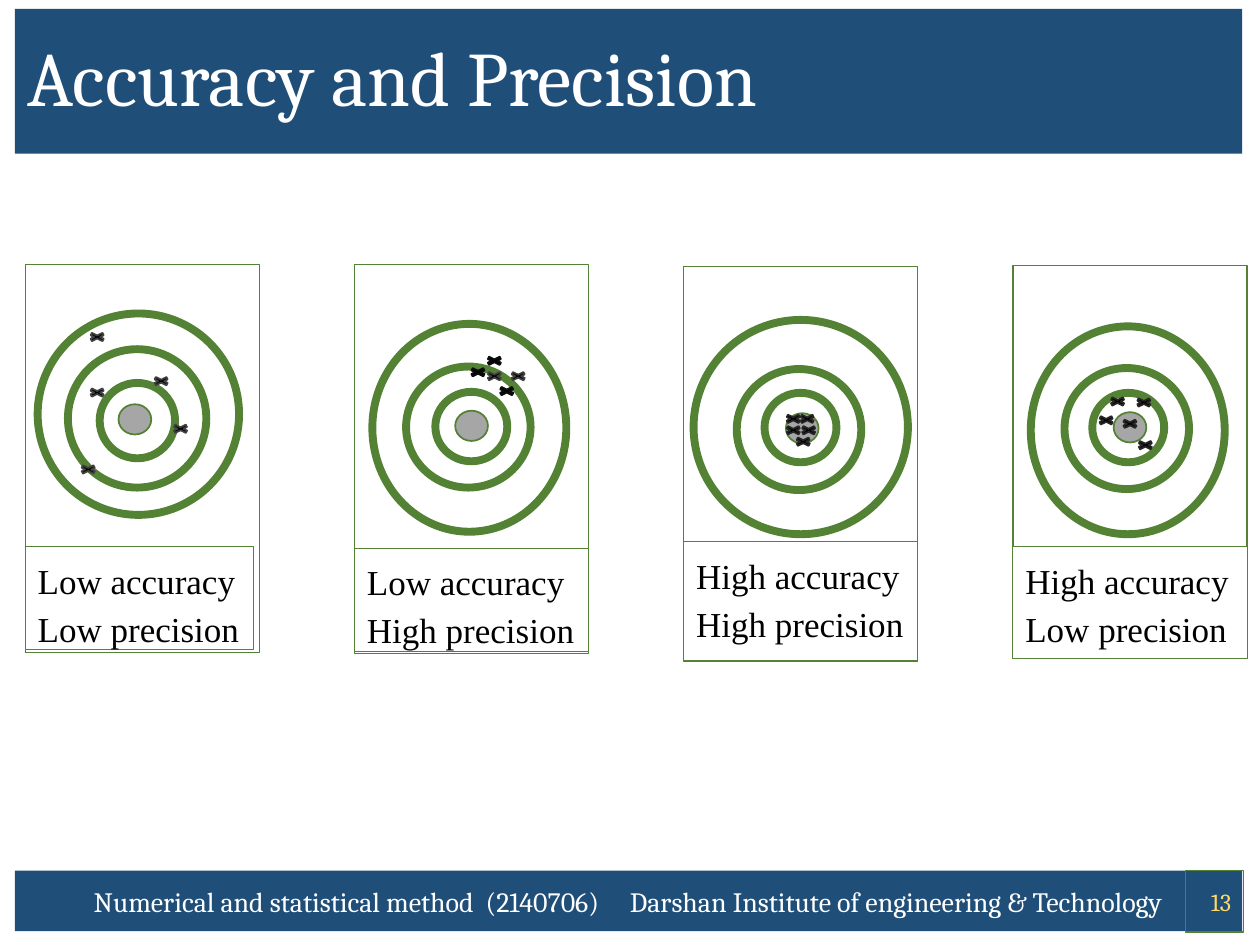
import lxml.etree
import pptx
import pptx.dml.color
import pptx.enum.shapes
import pptx.enum.text
import pptx.oxml.ns
import pptx.util

Cm = pptx.util.Cm
Pt = pptx.util.Pt
SHAPE = pptx.enum.shapes.MSO_SHAPE
ALIGN = pptx.enum.text.PP_ALIGN
ANCHOR = pptx.enum.text.MSO_ANCHOR

COLORS = {
    "navy": "1F4E79", "green": "548235", "white": "FFFFFF", "black": "000000",
    "gold": "FFD966", "bullseye": "A6A6A6",
    "dark": "0D0D0D", "charcoal": "262626", "gray": "404040",
}


def rgb(name):
    return pptx.dml.color.RGBColor.from_string(COLORS[name])


def write_text(box, text, size, color="black", font="Cambria", align=ALIGN.LEFT,
               anchor=ANCHOR.MIDDLE, spacing=1.0, after=0, left=0.25, tabs=()):
    frame = box.text_frame
    frame.word_wrap = True
    frame.auto_size = pptx.enum.text.MSO_AUTO_SIZE.NONE
    frame.vertical_anchor = anchor
    frame.margin_left = Cm(left)
    para = frame.paragraphs[0]
    para.alignment = align
    para.line_spacing = spacing
    para.space_before = Pt(0)
    para.space_after = Pt(after)
    if tabs:
        qn = pptx.oxml.ns.qn
        stops = lxml.etree.SubElement(para._p.get_or_add_pPr(), qn("a:tabLst"))
        for position in tabs:
            lxml.etree.SubElement(stops, qn("a:tab"), pos=str(Cm(position)), algn="l")
    span = para.add_run()
    span.text = text
    span.font.name = font
    span.font.size = Pt(size)
    span.font.color.rgb = rgb(color)


class SlideBuilder:
    MARK = (0.46, 0.23)
    BULLSEYE = (0.66, 0.61)
    FRAME_WIDTH = 4.72

    def __init__(self, deck):
        self.page = deck.slides.add_slide(deck.slide_layouts[5])

    def shape(self, kind, left, top, width, height, fill=None, line=None,
              weight=0.75, parent=None):
        shapes = (parent or self.page).shapes
        item = shapes.add_shape(kind, Cm(left), Cm(top), Cm(width), Cm(height))
        item.shadow.inherit = False
        if fill:
            item.fill.solid()
            item.fill.fore_color.rgb = rgb(fill)
        else:
            item.fill.background()
        if line:
            item.line.color.rgb = rgb(line)
            item.line.width = Pt(weight)
        else:
            item.line.fill.background()
        return item

    def title(self, text):
        box = self.page.shapes.title
        box.left, box.top, box.width, box.height = Cm(0.3), Cm(0.18), Cm(24.74), Cm(2.92)
        box.fill.solid()
        box.fill.fore_color.rgb = rgb("navy")
        write_text(box, text, 44, "white", spacing=0.9)

    def footer(self, text, number):
        bar = self.shape(SHAPE.RECTANGLE, 0.3, 17.55, 24.74, 1.22, "navy")
        write_text(bar, text, 16, "white", left=1.59, tabs=(7.9, 10.81))
        box = self.shape(SHAPE.RECTANGLE, 23.9, 17.55, 1.17, 1.24, line="green")
        write_text(box, number, 14, "gold", align=ALIGN.RIGHT)

    def target(self, left, top, height, rings, bullseye, marks, caption,
               caption_box, mark_colors):
        """Draw one panel; horizontal offsets count from its left edge."""
        group = self.page.shapes.add_group_shape()
        self.shape(SHAPE.RECTANGLE, left, top, self.FRAME_WIDTH, height,
                   line="green", parent=group)
        # Rings from the outside in, then the bullseye
        for x, y, width, ring_height in rings:
            self.shape(SHAPE.OVAL, left + x, y, width, ring_height,
                       "white", "green", 4.5, group)
        x, y = bullseye
        self.shape(SHAPE.OVAL, left + x, y, *self.BULLSEYE,
                   "bullseye", "green", 1, group)
        # Hits
        for (x, y), color in zip(marks, mark_colors):
            self.shape(SHAPE.MATH_MULTIPLY, left + x, y, *self.MARK,
                       "black", color, 1, group)
        # Caption
        y, width, box_height = caption_box
        box = self.shape(SHAPE.RECTANGLE, left, y, width, box_height,
                         "white", "green", 0.5, group)
        write_text(box, caption, 20, font="Times New Roman", anchor=ANCHOR.TOP,
                   spacing=1.15, after=10)


MIDDLE = (2.51, 2.44)
INNER = (1.45, 1.4)
TARGETS = [
    dict(top=5.33, height=7.82, bullseye=(1.88, 8.15),
         rings=[(0.25, 6.32, 4.06, 4.06), (0.86, 7.04, 2.79, 2.79), (1.5, 7.72, 1.52, 1.52)],
         marks=[(1.04, 9.35), (1.22, 6.68), (1.22, 7.8), (2.51, 7.57), (2.9, 8.53)],
         mark_colors=["gray"] * 5,
         caption="Low accuracy Low precision", caption_box=(11.02, 4.6, 2.08)),
    dict(top=5.33, height=7.85, bullseye=(2.03, 8.28),
         rings=[(0.36, 6.53, 3.91, 4.19), (1.04, 7.39, *MIDDLE), (1.63, 7.9, *INNER)],
         marks=[(2.59, 7.16), (2.26, 7.39), (3.07, 7.47), (2.59, 7.47), (2.84, 7.77)],
         mark_colors=["dark", "dark", "gray", "gray", "dark"],
         caption="Low accuracy High precision", caption_box=(11.05, 4.72, 2.08)),
    dict(top=5.38, height=7.95, bullseye=(2.06, 8.33),
         rings=[(0.2, 6.45, 4.32, 4.32), (1.07, 7.44, *MIDDLE), (1.63, 7.92, *INNER)],
         marks=[(2.26, 8.33), (1.98, 8.56), (2.29, 8.56), (2.18, 8.79), (1.98, 8.33)],
         mark_colors=["charcoal"] * 5,
         caption="High accuracy High precision", caption_box=(10.92, 4.72, 2.39)),
    dict(top=5.36, height=7.77, bullseye=(2.03, 8.31),
         rings=[(0.36, 6.58, 3.91, 4.19), (1.04, 7.42, *MIDDLE), (1.6, 7.92, *INNER)],
         marks=[(2.44, 8.86), (1.65, 8.36), (1.88, 7.98), (2.41, 8.0), (2.13, 8.43)],
         mark_colors=["charcoal"] * 5,
         caption="High accuracy Low precision", caption_box=(11.02, 4.72, 2.26)),
]
FIRST_LEFT, LAST_LEFT = 0.51, 20.42


def main():
    deck = pptx.Presentation()
    deck.slide_width, deck.slide_height = Cm(25.4), Cm(19.05)
    builder = SlideBuilder(deck)
    builder.title("Accuracy and Precision")
    builder.footer("Numerical and statistical method\t(2140706)\t"
                   "Darshan Institute of engineering & Technology", "13")
    step = (LAST_LEFT - FIRST_LEFT) / (len(TARGETS) - 1)
    for index, target in enumerate(TARGETS):
        builder.target(FIRST_LEFT + index * step, **target)
    deck.save("out.pptx")


if __name__ == "__main__":
    main()
